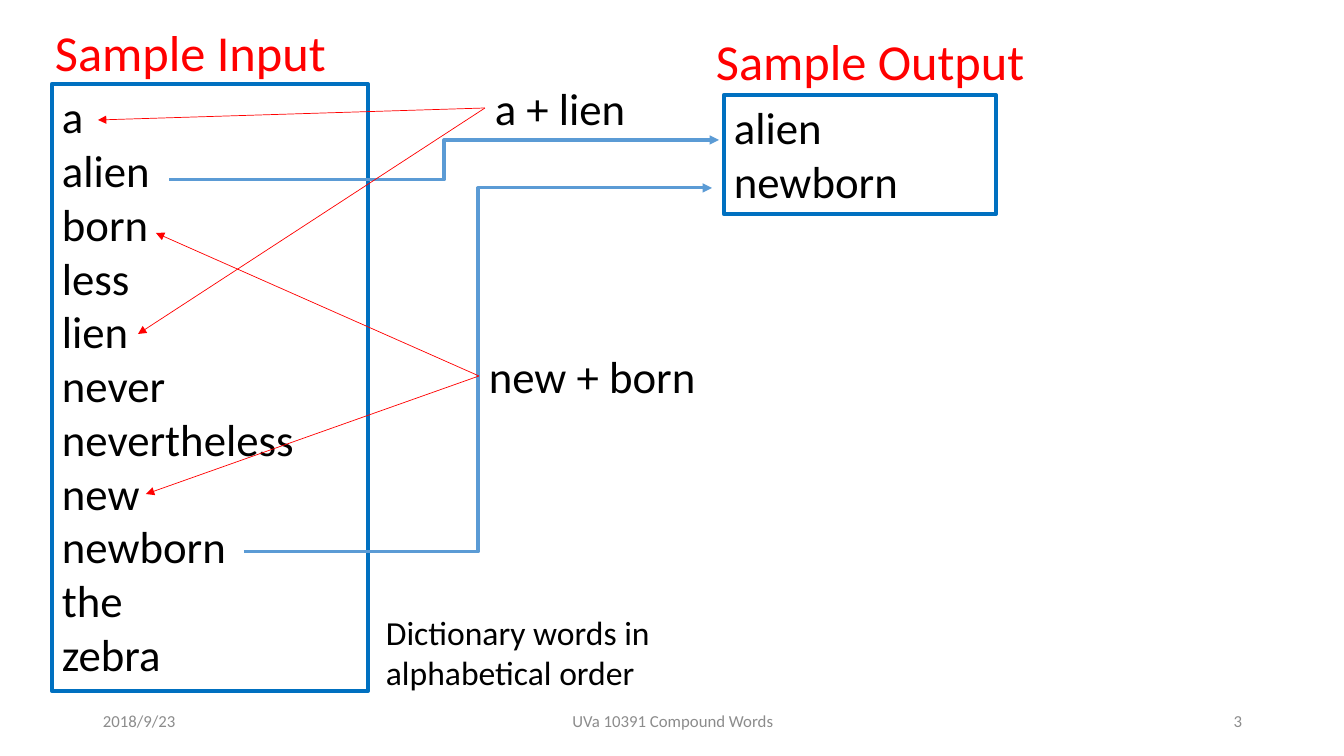
from lxml.etree import SubElement as sub
from pptx import Presentation
from pptx.dml.color import RGBColor as RGB
from pptx.enum.shapes import MSO_CONNECTOR as LINK
from pptx.enum.text import MSO_ANCHOR as ANCHOR, PP_ALIGN as ALIGN
from pptx.oxml.ns import qn
from pptx.util import Emu, Pt

RED = RGB(0xFF, 0, 0)
BLACK = RGB(0, 0, 0)
GRAY = RGB(0x8C, 0x8C, 0x8C)
EDGE = RGB(0, 0x70, 0xC0)
BLUE = RGB(0x5B, 0x9B, 0xD5)

# Places are left, top, width, height in px
HEADS = [
    ("Sample Input", (45, 16, 300, 72)),
    ("Sample Output", (706, 25, 361, 72)),
]
LISTS = [
    (["a", "alien", "born", "less", "lien", "never", "nevertheless",
      "new", "newborn", "the", "zebra"], (52, 84, 316, 607)),
    (["alien", "newborn"], (724, 95, 272, 119)),
]
SUMS = [
    ("a + lien", (485, 76, 157, 65)),
    ("new + born", (479, 344, 235, 65)),
]
NOTE = ("Dictionary words in alphabetical order", (376, 607, 312, 92))
FOOT = [
    ("2018/9/23", (93, 701, 302, 40), ALIGN.LEFT),
    ("UVa 10391 Compound Words", (446, 701, 454, 40), ALIGN.CENTER),
    ("3", (950, 701, 302, 40), ALIGN.RIGHT),
]
# Arrows run from the first point to the second
MATCHES = [
    ((169, 180), (719, 140)),
    ((244, 552), (712, 188)),
]
PARTS = [
    ((485, 108), [(98, 120), (138, 334)]),
    ((479, 376), [(156, 233), (146, 494)]),
]


def px(*nums):
    return [Emu(round(n * 914400 / 100.8)) for n in nums]


deck = Presentation()
deck.slide_width, deck.slide_height = px(1344, 756)
slide = deck.slides.add_slide(deck.slide_layouts[6])


def write(lines, place, size, color=BLACK, align=ALIGN.LEFT):
    box = slide.shapes.add_textbox(*px(*place))
    frame = box.text_frame
    frame.word_wrap = True
    frame.text = "\n".join(lines)
    for para in frame.paragraphs:
        para.alignment = align
        font = para.font
        font.name, font.size, font.color.rgb = "Calibri", Pt(size), color
    return box


def arrow(kind, start, end, color, width):
    link = slide.shapes.add_connector(kind, *px(*start, *end))
    link.line.color.rgb = color
    link.line.width = Pt(width)
    sub(link.line._get_or_add_ln(), qn("a:tailEnd"), type="triangle")
    sub(link._element.spPr, qn("a:effectLst"))


for text, place in HEADS:
    write([text], place, 36, RED)
for words, place in LISTS:
    box = write(words, place, 32)
    box.line.color.rgb = EDGE
    box.line.width = Pt(3)
for text, place, align in FOOT:
    box = write([text], place, 12, GRAY, align)
    box.text_frame.vertical_anchor = ANCHOR.MIDDLE
write([NOTE[0]], NOTE[1], 24)
for text, place in SUMS:
    write([text], place, 32)
for start, end in MATCHES:
    arrow(LINK.ELBOW, start, end, BLUE, 2.25)
for start, ends in PARTS:
    for end in ends:
        arrow(LINK.STRAIGHT, start, end, RED, 0.5)

deck.save("out.pptx")
